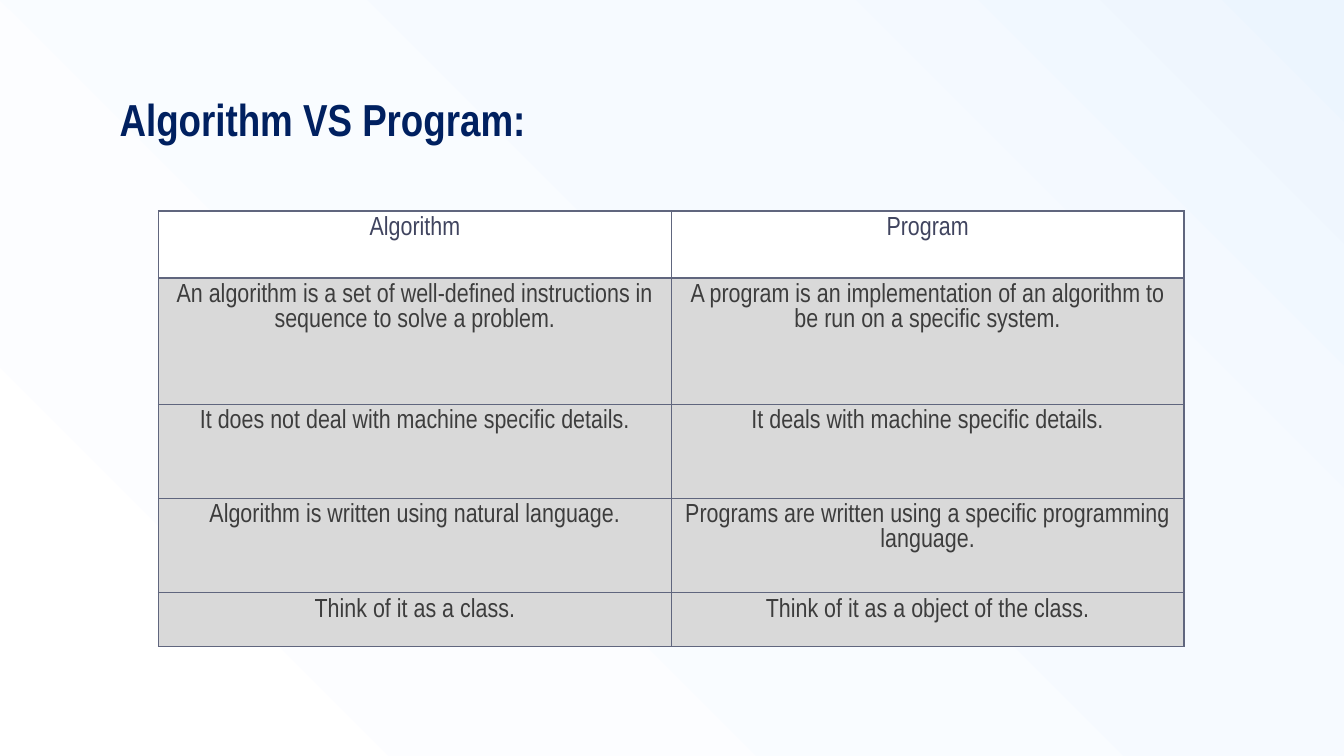
from lxml import etree
from pptx import Presentation
from pptx import util as u
from pptx.dml.color import RGBColor
from pptx.enum import text
from pptx.oxml import parse_xml
from pptx.oxml.ns import nsdecls, qn

COLORS = {
    "title": "002060",
    "header_text": "40445F",
    "body_text": "3D3D3D",
    "header_fill": "FFFFFF",
    "body_fill": "D9D9D9",
    "border": "60667E",
}
GRADIENT = {0: "ECF5FE", 29: "F6FAFF", 99: "FFFFFF"}
FONT = "Arial Narrow"
ROWS = [
    (0.5, "Algorithm", "Program"),
    (0.94, "An algorithm is a set of well-defined instructions in sequence to solve a problem.",
     "A program is an implementation of an algorithm to be run on a specific system."),
    (0.7, "It does not deal with machine specific details.",
     "It deals with machine specific details."),
    (0.7, "Algorithm is written using natural language.",
     "Programs are written using a specific programming language."),
    (0.4, "Think of it as a class.", "Think of it as a object of the class."),
]


def set_font(paragraph, size, color, bold=False):
    paragraph.font.name = FONT
    paragraph.font.size = u.Pt(size)
    paragraph.font.bold = bold
    paragraph.font.color.rgb = RGBColor.from_string(COLORS[color])


# Widescreen page, 16 by 9
deck = Presentation()
deck.slide_width = u.Inches(10)
deck.slide_height = deck.slide_width * 9 // 16
page = deck.slides.add_slide(deck.slide_layouts[5])

# Background: glow from the top right corner
page.background.fill.solid()
solid = next(page.background._cSld.iter(qn("a:solidFill")))
stops = "".join(
    f'<a:gs pos="{share * 1000}"><a:srgbClr val="{color}"/></a:gs>'
    for share, color in GRADIENT.items())
solid.getparent().replace(solid, parse_xml(
    f'<a:gradFill {nsdecls("a")} rotWithShape="1"><a:gsLst>{stops}</a:gsLst>'
    '<a:path path="circle"><a:fillToRect l="100000" b="100000"/></a:path></a:gradFill>'))

# Title
title = page.shapes.title
title.left, title.top = u.Inches(0.79), u.Inches(0.58)
title.width, title.height = u.Inches(3.34), u.Inches(0.63)
frame = title.text_frame
frame.text = "Algorithm VS Program:"
frame.word_wrap = True
frame.auto_size = text.MSO_AUTO_SIZE.NONE
frame.vertical_anchor = text.MSO_ANCHOR.TOP
frame.margin_left = frame.margin_right = frame.margin_top = frame.margin_bottom = u.Inches(0.1)
frame.paragraphs[0].alignment = text.PP_ALIGN.LEFT
set_font(frame.paragraphs[0], 24, "title", bold=True)

# Comparison table
height = sum(row[0] for row in ROWS)
table = page.shapes.add_table(
    len(ROWS), 2, u.Inches(1.18), u.Inches(1.57), u.Inches(7.63), u.Inches(height)).table
for row_index, (row_height, *entries) in enumerate(ROWS):
    table.rows[row_index].height = u.Inches(row_height)
    part = "body" if row_index else "header"
    for column_index, entry in enumerate(entries):
        cell = table.cell(row_index, column_index)
        cell.text = entry
        cell.margin_left = cell.margin_right = u.Inches(0.07)
        cell.margin_top = cell.margin_bottom = u.Inches(0.04)
        paragraph = cell.text_frame.paragraphs[0]
        paragraph.alignment = text.PP_ALIGN.CENTER
        set_font(paragraph, 14, f"{part}_text")

        # Borders come before the fill in the cell properties
        properties = cell._tc.get_or_add_tcPr()
        for side in ("lnL", "lnR", "lnT", "lnB"):
            line = etree.SubElement(properties, qn(f"a:{side}"), w=str(u.Pt(1)))
            paint = etree.SubElement(line, qn("a:solidFill"))
            etree.SubElement(paint, qn("a:srgbClr"), val=COLORS["border"])
        cell.fill.solid()
        cell.fill.fore_color.rgb = RGBColor.from_string(COLORS[f"{part}_fill"])

deck.save("out.pptx")
